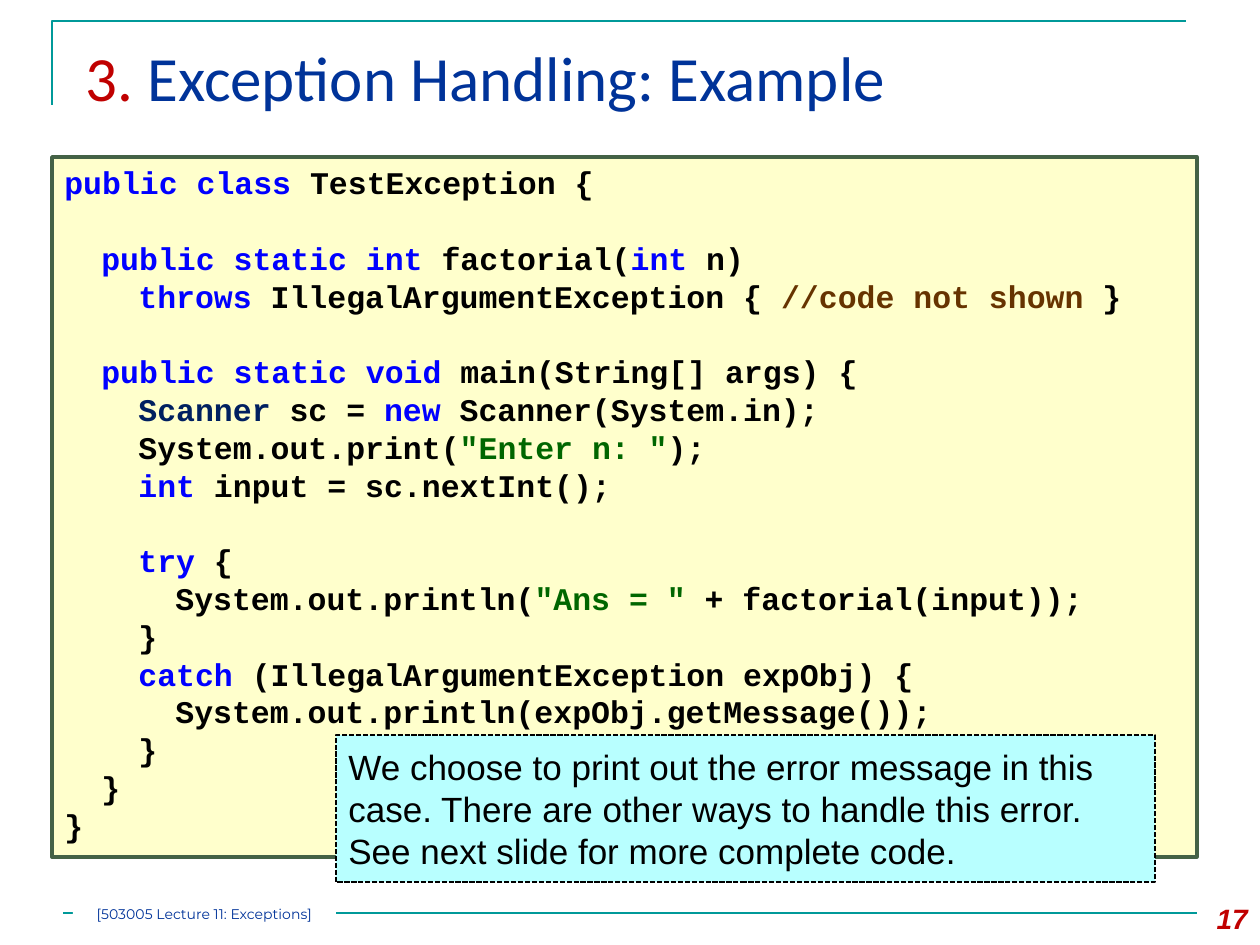
import pptx
import pptx.util
import pptx.dml.color
import pptx.enum.dml
import pptx.enum.shapes
import pptx.enum.text
import pptx.oxml
import pptx.oxml.ns

PX = 914400 / 126
TEAL, NAVY, RED, BLACK = "009999", "003399", "C00000", "000000"
KEY, TYPE, STR, NOTE = "0000FF", "002060", "006600", "663300"

# Content: each code line is a depth and its coloured parts; None is a gap
TITLE = [("3. ", RED), ("Exception Handling: Example", NAVY)]
CODE = [
    (0, ("public class", KEY), (" TestException {", BLACK)),
    None,
    (1, ("public static int ", KEY), ("factorial(", BLACK), ("int", KEY),
     (" n)", BLACK)),
    (2, ("throws ", KEY), ("IllegalArgumentException { ", BLACK),
     ("//code not shown ", NOTE), ("}", BLACK)),
    None,
    (1, ("public static void ", KEY), ("main(String[] args) {", BLACK)),
    (2, ("Scanner", TYPE), (" sc = ", BLACK), ("new", KEY),
     (" Scanner(System.in);", BLACK)),
    (2, ("System.out.print(", BLACK), ('"Enter n: "', STR), (");", BLACK)),
    (2, ("int ", KEY), ("input = sc.nextInt();", BLACK)),
    None,
    (2, ("try", KEY), (" {", BLACK)),
    (3, ("System.out.println(", BLACK), ('"Ans = " ', STR),
     ("+ factorial(input));", BLACK)),
    (2, ("}", BLACK)),
    (2, ("catch ", KEY), ("(IllegalArgumentException expObj) {", BLACK)),
    (3, ("System.out.println(expObj.getMessage());", BLACK)),
    (2, ("}", BLACK)),
    (1, ("}", BLACK)),
    (0, ("}", BLACK)),
]
REMARK = [
    "We choose to print out the error message in this case. "
    "There are other ways to handle this error.",
    "See next slide for more complete code.",
]
FOOT, PAGE = "[503005 Lecture 11: Exceptions]", "17"
PITCH = 21.6  # points from one code line to the next
TAB = 37


def px(num):
    return pptx.util.Emu(round(num * PX))


def color(hex):
    return pptx.dml.color.RGBColor.from_string(hex)


def stroke(line, hex, width):
    line.color.rgb = color(hex)
    line.width = pptx.util.Pt(width)


def box(slide, area, fill=None, edge=None, width=1):
    kind = pptx.enum.shapes.MSO_SHAPE.RECTANGLE
    shape = slide.shapes.add_shape(kind, *map(px, area))
    shape.shadow.inherit = False
    if fill:
        shape.fill.solid()
        shape.fill.fore_color.rgb = color(fill)
    else:
        shape.fill.background()
    if edge:
        stroke(shape.line, edge, width)
    else:
        shape.line.fill.background()
    return shape


def write(shape, lines, font, size, hue=BLACK, bold=False, italic=False,
          align="LEFT", anchor="TOP", inset=None, pitch=None, tabs=0):
    """Each line is a string, a list of (text, colour) parts, or None."""
    frame = shape.text_frame
    frame.word_wrap = True
    frame.vertical_anchor = getattr(pptx.enum.text.MSO_ANCHOR, anchor)
    if inset is not None:
        frame.margin_left = frame.margin_right = px(inset)
        frame.margin_top = frame.margin_bottom = px(inset)
    para, gap = None, 0
    for line in lines:
        if line is None:
            gap += pitch
            continue
        para = frame.add_paragraph() if para else frame.paragraphs[0]
        para.alignment = getattr(pptx.enum.text.PP_ALIGN, align)
        if pitch:
            para.line_spacing = pptx.util.Pt(pitch)
        if gap:
            para.space_before = pptx.util.Pt(gap)
            gap = 0
        if tabs:
            add_tabs(para, tabs)
        for text, tint in [(line, hue)] if isinstance(line, str) else line:
            run = para.add_run()
            run.text = text
            run.font.name = font
            run.font.size = pptx.util.Pt(size)
            run.font.bold, run.font.italic = bold, italic
            run.font.color.rgb = color(tint)


def add_tabs(para, count):
    stops = "".join(f'<a:tab pos="{px(TAB * (i + 1))}" algn="l"/>'
                    for i in range(count))
    space = pptx.oxml.ns.nsdecls("a")
    para._p.get_or_add_pPr().append(
        pptx.oxml.parse_xml(f"<a:tabLst {space}>{stops}</a:tabLst>"))


def main():
    deck = pptx.Presentation()
    deck.slide_width, deck.slide_height = px(1260), px(945)
    slide = deck.slides.add_slide(deck.slide_layouts[6])

    # Corner rule round the title
    path = slide.shapes.build_freeform(52, 105, scale=PX)
    path.add_line_segments([(52, 21), (1186, 21)], close=False)
    corner = path.convert_to_shape()
    corner.shadow.inherit = False
    corner.fill.background()
    stroke(corner.line, TEAL, 1.5)

    # Footer rule
    rule = slide.shapes.add_connector(
        pptx.enum.shapes.MSO_CONNECTOR.STRAIGHT,
        *map(px, (63, 913, 1197, 913)))
    stroke(rule.line, TEAL, 1.5)
    rule._element.spPr.append(pptx.oxml.parse_xml(
        f'<a:effectLst {pptx.oxml.ns.nsdecls("a")}/>'))

    # Title and page number
    write(box(slide, (73, 32, 1155, 108)), [TITLE], "Calibri", 36)
    write(box(slide, (1176, 895, 84, 50)), [PAGE], "Arial", 16, hue=RED,
          bold=True, italic=True, align="RIGHT")

    # Code panel
    lines = [row and [("\t" * row[0], BLACK), *row[1:]] if row and row[0]
             else row and row[1:] for row in CODE]
    panel = box(slide, (52, 157, 1145, 700), "FFFFCC", "446246", 2)
    write(panel, lines, "Courier New", 18, bold=True, pitch=PITCH, tabs=4)

    # Remark over the code
    remark = box(slide, (336, 735, 819, 147), "B8FFFF", BLACK)
    remark.line.dash_style = pptx.enum.dml.MSO_LINE.SQUARE_DOT
    write(remark, REMARK, "Arial", 20, anchor="MIDDLE")

    # Footer label
    label = box(slide, (73, 903, 263, 21), "FFFFFF")
    write(label, [FOOT], "Montserrat", 8, hue=NAVY, align="CENTER",
          anchor="MIDDLE", inset=0)

    deck.save("out.pptx")


if __name__ == "__main__":
    main()
